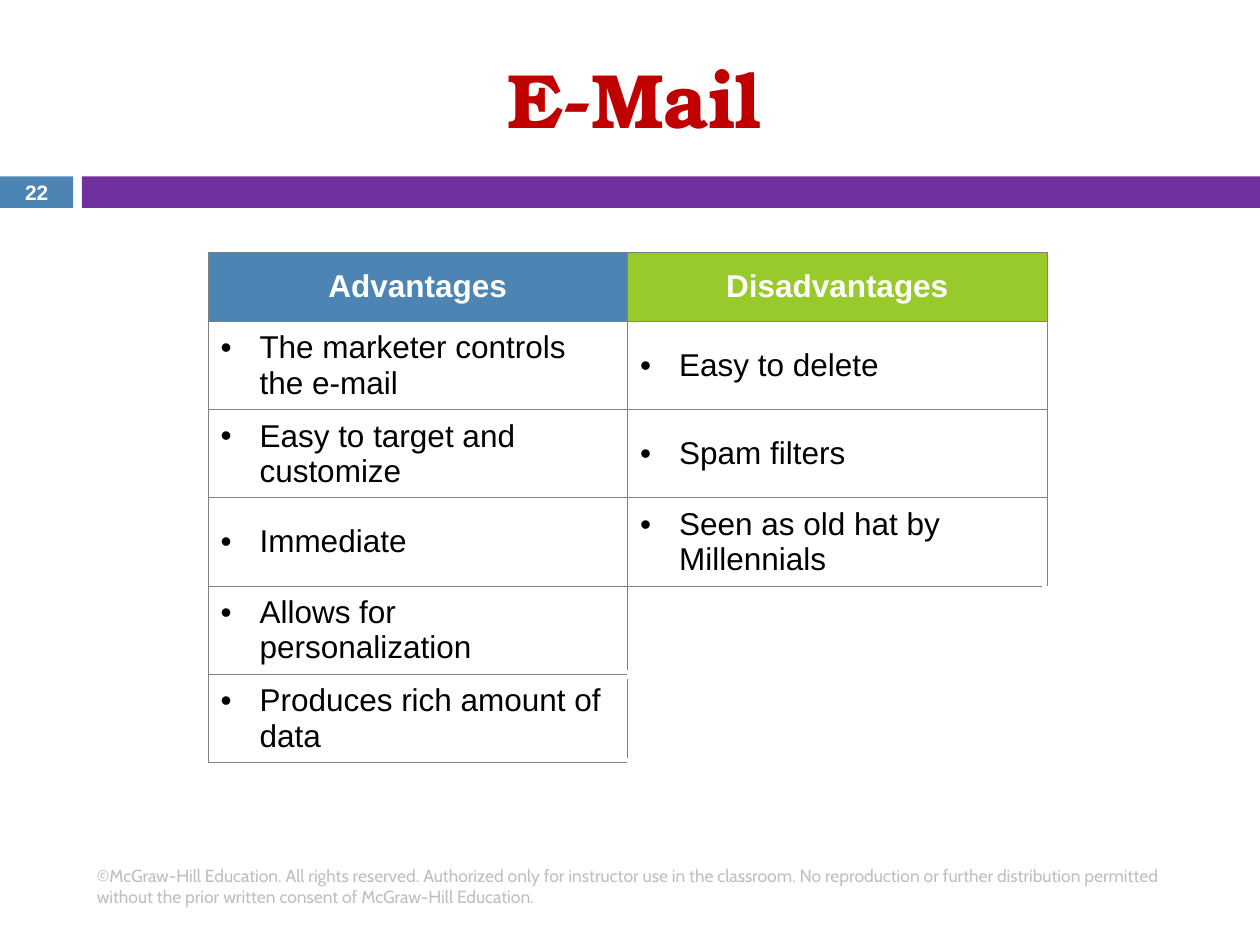
from lxml import etree
from pptx import Presentation
from pptx.dml.color import RGBColor
from pptx.enum.shapes import MSO_SHAPE
from pptx.enum.text import MSO_ANCHOR, PP_ALIGN
from pptx.oxml.ns import qn
from pptx.util import Inches, Pt

COLORS = {
    "blue": "4C85B4", "purple": "7030A0", "green": "99CA2C", "red": "C00000",
    "white": "FFFFFF", "black": "000000", "footer": "BFBFBF", "grid": "808080",
}
HEADERS = [("Advantages", "blue"), ("Disadvantages", "green")]
ROWS = [
    ("The marketer controls the e-mail", "Easy to delete"),
    ("Easy to target and customize", "Spam filters"),
    ("Immediate", "Seen as old hat by Millennials"),
    ("Allows for personalization", ""),
    ("Produces rich amount of data", ""),
]
GRID_LINE = ("grid", 0.5)
BLANK_LINE = ("white", 6)


def rgb(name):
    return RGBColor.from_string(COLORS[name])


class SlideBuilder:
    font = "Arial"

    def __init__(self, slide):
        self.slide = slide

    def format_text(self, tf, size, color, bold=False, font=None, align=PP_ALIGN.LEFT):
        for p in tf.paragraphs:
            p.alignment = align
            for r in p.runs:
                r.font.name = font or self.font
                r.font.size = Pt(size)
                r.font.bold = bold
                r.font.color.rgb = rgb(color)

    def title(self, text, left, top, width, height):
        s = self.slide.shapes.title
        s.left, s.top, s.width, s.height = map(Inches, (left, top, width, height))
        tf = s.text_frame
        tf.text = text
        tf.vertical_anchor = MSO_ANCHOR.MIDDLE
        self.format_text(tf, 44, "red", True, "TeX Gyre Bonum", PP_ALIGN.CENTER)

    def bar(self, left, top, width, height, color):
        s = self.slide.shapes.add_shape(
            MSO_SHAPE.RECTANGLE, *map(Inches, (left, top, width, height)))
        s.shadow.inherit = False
        s.fill.solid()
        s.fill.fore_color.rgb = rgb(color)
        s.line.fill.background()

    def text(self, text, left, top, width, height, **style):
        s = self.slide.shapes.add_textbox(*map(Inches, (left, top, width, height)))
        tf = s.text_frame
        tf.word_wrap = True
        tf.vertical_anchor = MSO_ANCHOR.MIDDLE
        tf.text = text
        self.format_text(tf, **style)

    def table(self, left, top, col_width, header_height, row_height):
        n_rows, n_cols = len(ROWS) + 1, len(HEADERS)
        height = header_height + row_height * len(ROWS)
        table = self.slide.shapes.add_table(
            n_rows, n_cols, *map(Inches, (left, top, col_width * n_cols, height))).table
        for column in table.columns:
            column.width = Inches(col_width)
        for i, row in enumerate(table.rows):
            row.height = Inches(row_height if i else header_height)
        for j, (heading, color) in enumerate(HEADERS):
            self.cell(table.cell(0, j), heading, color)
            self.format_text(table.cell(0, j).text_frame, 18, "white", True,
                             align=PP_ALIGN.CENTER)
            for i, texts in enumerate(ROWS, 1):
                self.body_cell(table.cell(i, j), texts[j], i > 1 and not ROWS[i - 2][j])

    def body_cell(self, cell, text, blank_above):
        if text:
            self.cell(cell, text, "white")
            self.bullet(cell.text_frame.paragraphs[0])
            self.format_text(cell.text_frame, 18, "black")
        else:
            top = BLANK_LINE if blank_above else GRID_LINE
            self.cell(cell, text, "white", (GRID_LINE, BLANK_LINE, top, BLANK_LINE))

    def cell(self, cell, text, fill, borders=(GRID_LINE,) * 4):
        """Fill a cell; borders run left, right, top, bottom."""
        cell.text_frame.text = text
        cell.vertical_anchor = MSO_ANCHOR.MIDDLE
        cell.fill.solid()
        cell.fill.fore_color.rgb = rgb(fill)
        tc_pr = cell._tc.get_or_add_tcPr()
        for i, (side, (color, width)) in enumerate(zip("LRTB", borders)):
            ln = etree.Element(qn(f"a:ln{side}"), w=str(Pt(width)))
            solid = etree.SubElement(ln, qn("a:solidFill"))
            etree.SubElement(solid, qn("a:srgbClr"), val=COLORS[color])
            tc_pr.insert(i, ln)

    def bullet(self, p):
        p_pr = p._p.get_or_add_pPr()
        indent = Inches(0.31)
        p_pr.set("marL", str(indent))
        p_pr.set("indent", str(-indent))
        etree.SubElement(p_pr, qn("a:buFont"), typeface=self.font)
        etree.SubElement(p_pr, qn("a:buChar"), char="•")


def main():
    prs = Presentation()
    prs.slide_width, prs.slide_height = Inches(10), Inches(7.5)
    sb = SlideBuilder(prs.slides.add_slide(prs.slide_layouts[5]))
    sb.bar(0, 1.4, 0.58, 0.25, "blue")
    sb.bar(0.65, 1.4, 9.35, 0.25, "purple")
    sb.title("E-Mail", 0.58, 0.3, 8.92, 0.95)
    sb.text("22", 0, 1.39, 0.58, 0.27,
            size=11.9, color="white", bold=True, align=PP_ALIGN.CENTER)
    sb.text("©McGraw-Hill Education. All rights reserved. Authorized only for instructor "
            "use in the classroom. No reproduction or further distribution permitted "
            "without the prior written consent of McGraw-Hill Education.",
            0.67, 6.83, 8.92, 0.4, size=10, color="footer", font="Cabin")
    sb.table(1.65, 2, col_width=3.33, header_height=0.55, row_height=0.66)
    prs.save("out.pptx")


if __name__ == "__main__":
    main()
